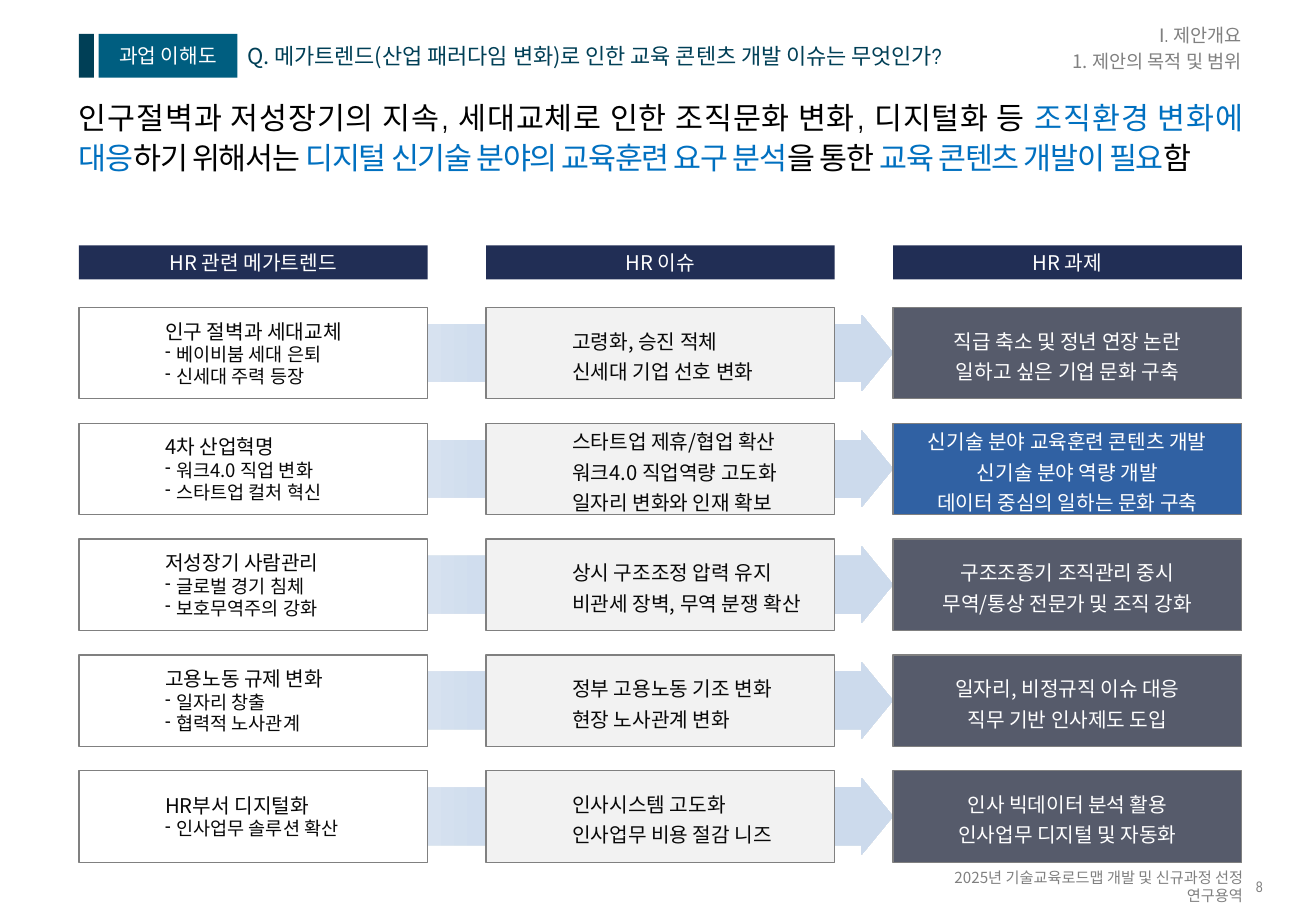
from copy import deepcopy
from dataclasses import dataclass

from lxml.etree import SubElement
from pptx import Presentation
from pptx.dml.color import RGBColor
from pptx.enum.shapes import MSO_SHAPE as Shape
from pptx.enum.text import MSO_ANCHOR as Anchor, MSO_AUTO_SIZE as AutoSize, PP_ALIGN as Align
from pptx.oxml.ns import qn
from pptx.util import Inches, Pt


@dataclass(frozen=True)
class Theme:
    sans: str = "Noto Sans CJK KR"
    narrow: str = "Arial Narrow"
    black: str = "000000"
    ink: str = "080808"
    white: str = "FFFFFF"
    grey: str = "808080"
    pale: str = "F2F2F2"
    slate: str = "565B6B"
    focus: str = "3061A3"
    navy: str = "212E55"
    accent: str = "0070C0"
    deep_teal: str = "003F56"
    teal: str = "005E80"
    arrow: tuple = ((0, "F6F9FC"), (0.41, "CCDAEC"), (1, "CAD9EB"))
    headline: float = 18
    question: float = 13
    text: float = 12
    detail: float = 11
    footer: float = 9
    line_ratio: float = 1.185
    card_line: float = 18


@dataclass(frozen=True)
class Box:
    left: float
    top: float
    width: float
    height: float

    def inches(self):
        return [Inches(n) for n in (self.left, self.top, self.width, self.height)]

    def share(self, left, top, width, height):
        """Return the sub-box given as shares of this box."""
        return Box(self.left + left * self.width, self.top + top * self.height,
                   width * self.width, height * self.height)

    def cell(self, column, row, columns, rows, gap_x, gap_y):
        """Return one cell of an even grid with the given gaps."""
        width = (self.width - gap_x * (columns - 1)) / columns
        height = (self.height - gap_y * (rows - 1)) / rows
        return Box(self.left + column * (width + gap_x),
                   self.top + row * (height + gap_y), width, height)


THEME = Theme()
SLIDE = Box(0, 0, 10.83, 7.5)
MARGIN, CONTENT_WIDTH = 0.65, 9.57
COLUMN_GAP, ROW_GAP = 0.48, 0.2

HEADLINE = [
    ("인구절벽과 저성장기의 지속, 세대교체로 인한 조직문화 변화, 디지털화 등 ", THEME.black),
    ("조직환경 변화에 대응", THEME.accent), ("하기 위해서는 ", THEME.black),
    ("디지털 신기술 분야의 교육훈련 요구 분석", THEME.accent), ("을 통한 ", THEME.black),
    ("교육 콘텐츠 개발이 필요", THEME.accent), ("함", THEME.black),
]
COLUMN_TITLES = ["HR 관련 메가트렌드", "HR 이슈", "HR 과제"]
ROWS = [
    (["인구 절벽과 세대교체", "베이비붐 세대 은퇴", "신세대 주력 등장"],
     ["고령화, 승진 적체", "신세대 기업 선호 변화"],
     ["직급 축소 및 정년 연장 논란", "일하고 싶은 기업 문화 구축"]),
    (["4차 산업혁명", "워크4.0 직업 변화", "스타트업 컬처 혁신"],
     ["스타트업 제휴/협업 확산", "워크4.0 직업역량 고도화", "일자리 변화와 인재 확보"],
     ["신기술 분야 교육훈련 콘텐츠 개발", "신기술 분야 역량 개발", "데이터 중심의 일하는 문화 구축"]),
    (["저성장기 사람관리", "글로벌 경기 침체", "보호무역주의 강화"],
     ["상시 구조조정 압력 유지", "비관세 장벽, 무역 분쟁 확산"],
     ["구조조종기 조직관리 중시", "무역/통상 전문가 및 조직 강화"]),
    (["고용노동 규제 변화", "일자리 창출", "협력적 노사관계"],
     ["정부 고용노동 기조 변화", "현장 노사관계 변화"],
     ["일자리, 비정규직 이슈 대응", "직무 기반 인사제도 도입"]),
    (["HR부서 디지털화", "인사업무 솔루션 확산"],
     ["인사시스템 고도화", "인사업무 비용 절감 니즈"],
     ["인사 빅데이터 분석 활용", "인사업무 디지털 및 자동화"]),
]
FOCUS_ROW = 1


def prepare_frame(shape, left=0.0, top=0.0, anchor=Anchor.MIDDLE):
    frame = shape.text_frame
    frame.auto_size, frame.word_wrap = AutoSize.NONE, True
    frame.vertical_anchor = anchor
    frame.margin_left, frame.margin_top = Inches(left), Inches(top)
    frame.margin_right = frame.margin_bottom = 0
    return frame


def next_paragraph(frame, align, line_height):
    first = frame.paragraphs[0]
    paragraph = frame.add_paragraph() if first.runs else first
    paragraph.alignment, paragraph.line_spacing = align, Pt(line_height)
    return paragraph


def add_run(paragraph, text, size, color, font=THEME.sans):
    run = paragraph.add_run()
    run.text = text
    run.font.size, run.font.name = Pt(size), font
    run.font.color.rgb = RGBColor.from_string(color)
    SubElement(run._r.get_or_add_rPr(), qn("a:ea"), typeface=font)
    return run


def write_line(frame, text, size, color, align=Align.LEFT, font=THEME.sans, line_height=None):
    paragraph = next_paragraph(frame, align, line_height or round(size * THEME.line_ratio, 1))
    add_run(paragraph, text, size, color, font)
    return paragraph


def add_text_box(slide, box, left=0.0):
    return prepare_frame(slide.shapes.add_textbox(*box.inches()), left)


def add_panel(slide, box, fill, line=None, kind=Shape.RECTANGLE):
    shape = slide.shapes.add_shape(kind, *box.inches())
    shape.shadow.inherit = False
    if fill:
        shape.fill.solid()
        shape.fill.fore_color.rgb = RGBColor.from_string(fill)
    if line:
        shape.line.color.rgb = RGBColor.from_string(line)
        shape.line.width = Pt(0.75)
    else:
        shape.line.fill.background()
    return shape


def add_dash(paragraph):
    properties = paragraph._p.get_or_add_pPr()
    properties.set("marL", str(Inches(0.09)))
    properties.set("indent", str(-Inches(0.09)))
    SubElement(SubElement(properties, qn("a:buClr")), qn("a:srgbClr"), val=THEME.black)
    SubElement(properties, qn("a:buSzPct"), val="90000")
    SubElement(properties, qn("a:buChar"), char="-")


def add_question_bar(slide, box):
    add_panel(slide, box.share(0, 0, 0.015, 1), THEME.deep_teal)
    tag = prepare_frame(add_panel(slide, box.share(0.02, 0, 0.14, 1), THEME.teal))
    write_line(tag, "과업 이해도", THEME.text, THEME.white, Align.CENTER, THEME.narrow)
    question = add_text_box(slide, box.share(0.16, 0, 0.84, 1), left=0.08)
    paragraph = write_line(question, "Q. 메가트렌드(산업 패러다임 변화)로 인한 교육 콘텐츠 개발 ",
                           THEME.question, THEME.deep_teal)
    add_run(paragraph, "이슈는 무엇인가?", THEME.question, THEME.deep_teal, THEME.narrow)


def add_breadcrumb(slide, box):
    frame = add_text_box(slide, box)
    write_line(frame, "Ⅰ. 제안개요", THEME.detail, THEME.grey, Align.RIGHT, THEME.narrow)
    scope = write_line(frame, "1. 제안의 목적 및 범위", THEME.detail, THEME.grey, Align.RIGHT)
    scope.space_before = Pt(2.2)


def fill_headline(slide, box):
    title = slide.shapes.title
    title.left, title.top, title.width, title.height = box.inches()
    frame = prepare_frame(title, top=0.08, anchor=Anchor.TOP)
    paragraph = next_paragraph(frame, Align.JUSTIFY, 23.7)
    for text, color in HEADLINE:
        run = add_run(paragraph, text, THEME.headline, color, THEME.narrow)
        run._r.get_or_add_rPr().set("spc", "-80")


def add_flow_arrow(slide, box):
    arrow = add_panel(slide, box, None, kind=Shape.RIGHT_ARROW)
    arrow.adjustments[0], arrow.adjustments[1] = 0.75, 0.41
    arrow.fill.gradient()
    arrow.fill.gradient_angle = 0
    stop_list = arrow._element.spPr.find(qn("a:gradFill")).find(qn("a:gsLst"))
    stop_list.append(deepcopy(stop_list[0]))
    for stop, (position, color) in zip(arrow.fill.gradient_stops, THEME.arrow):
        stop.position, stop.color.rgb = position, RGBColor.from_string(color)


def add_trend_card(slide, box, lines):
    frame = prepare_frame(add_panel(slide, box, THEME.white, THEME.grey), left=0.71)
    write_line(frame, lines[0], THEME.text, THEME.ink)
    for line in lines[1:]:
        add_dash(write_line(frame, line, THEME.detail, THEME.ink))


def add_plain_card(slide, box, lines, fill, color, align, left=0.0):
    frame = prepare_frame(add_panel(slide, box, fill, THEME.grey), left=left)
    for line in lines:
        write_line(frame, line, THEME.text, color, align, line_height=THEME.card_line)


def add_column_titles(slide, box):
    for column, text in enumerate(COLUMN_TITLES):
        cell = box.cell(column, 0, 3, 1, COLUMN_GAP, 0)
        frame = prepare_frame(add_panel(slide, cell, THEME.navy))
        write_line(frame, text, THEME.text, THEME.white, Align.CENTER)


def add_flow_grid(slide, box):
    for row, (trend, issue, task) in enumerate(ROWS):
        cells = [box.cell(column, row, 3, len(ROWS), COLUMN_GAP, ROW_GAP) for column in range(3)]
        start = cells[0].left + 0.45 * cells[0].width
        add_flow_arrow(slide, Box(start, cells[0].top + 0.06, cells[2].left - start, 0.63))
        add_trend_card(slide, cells[0], trend)
        add_plain_card(slide, cells[1], issue, THEME.pale, THEME.ink, Align.LEFT, left=0.71)
        add_plain_card(slide, cells[2], task, THEME.focus if row == FOCUS_ROW else THEME.slate,
                       THEME.white, Align.CENTER)


def add_footer(slide, box):
    write_line(add_text_box(slide, box.share(0, 0, 0.93, 1)),
               "2025년 기술교육로드맵 개발 및 신규과정 선정 연구용역",
               THEME.footer, THEME.grey, Align.RIGHT)
    write_line(add_text_box(slide, box.share(0.95, 0, 0.05, 1)), "8",
               THEME.footer, THEME.grey, Align.CENTER, THEME.narrow)


def main():
    presentation = Presentation()
    presentation.slide_width, presentation.slide_height = SLIDE.inches()[2:]
    slide = presentation.slides.add_slide(presentation.slide_layouts[5])
    fill_headline(slide, Box(MARGIN, 0.71, CONTENT_WIDTH, 0.89))
    add_breadcrumb(slide, Box(7.98, 0.15, 2.24, 0.49))
    add_question_bar(slide, Box(MARGIN, 0.28, 8.15, 0.36))
    add_column_titles(slide, Box(MARGIN, 2.02, CONTENT_WIDTH, 0.28))
    add_flow_grid(slide, Box(MARGIN, 2.53, CONTENT_WIDTH, 4.57))
    add_footer(slide, Box(7.4, 7.22, 3.04, 0.15))
    presentation.save("out.pptx")


if __name__ == "__main__":
    main()
